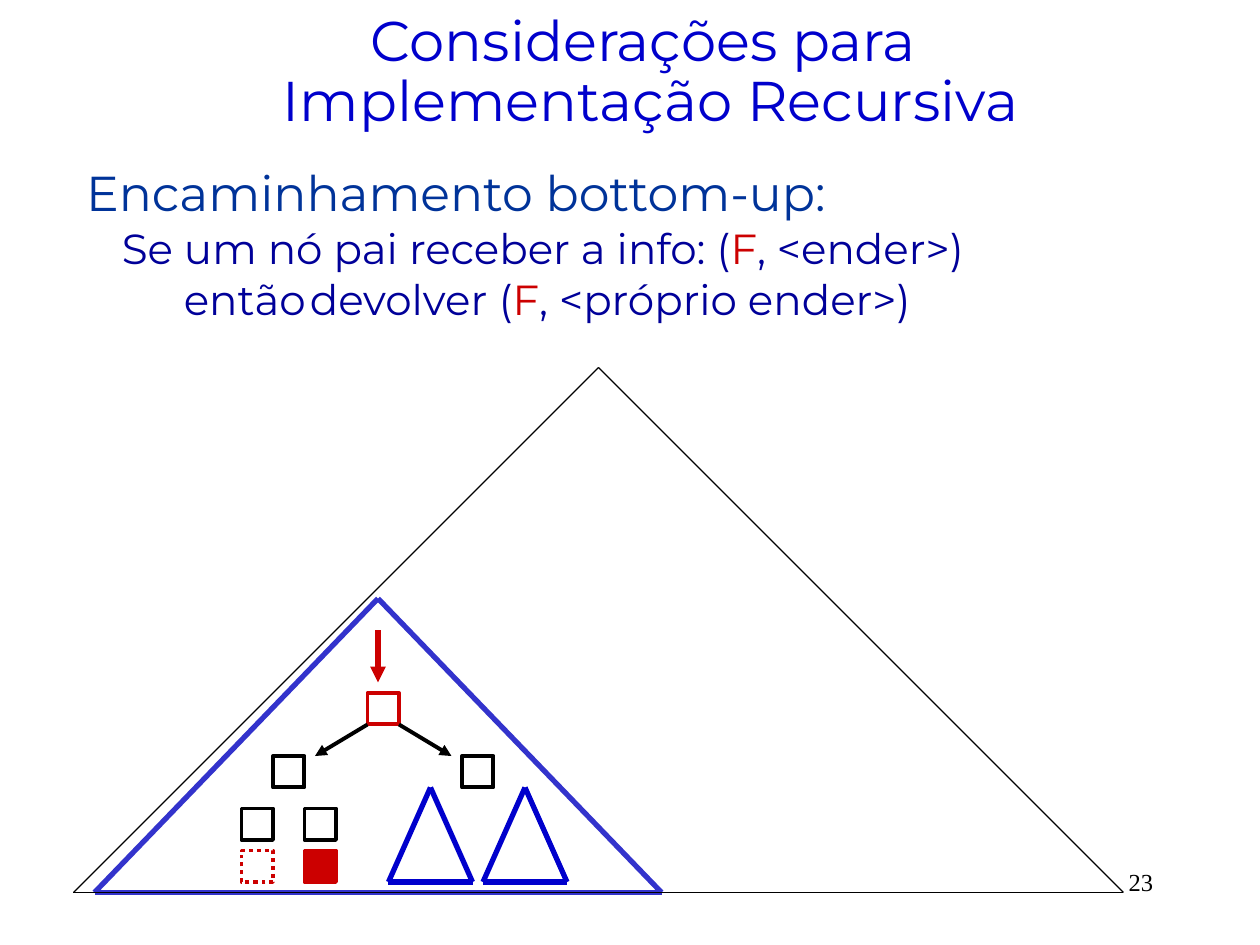
from lxml.etree import SubElement
from pptx import Presentation
from pptx.dml.color import RGBColor
from pptx.enum.dml import MSO_LINE
from pptx.enum.shapes import MSO_CONNECTOR, MSO_SHAPE
from pptx.enum.text import MSO_ANCHOR, MSO_AUTO_SIZE, PP_ALIGN
from pptx.oxml.ns import qn
from pptx.util import Pt

EMU_PER_PX = 7620
NODE = 30
BLACK, RED, BLUE, VIOLET, NAVY = "000000", "CC0000", "0000CC", "3333CC", "000099"


def px(length):
    return length * EMU_PER_PX


def color(text):
    return RGBColor.from_string(text)


def place(shape, box):
    shape.left, shape.top, shape.width, shape.height = map(px, box)


def style(font, size, tint, name="Montserrat"):
    font.size, font.name = Pt(size), name
    font.color.rgb = color(tint)


def add_line(shapes, start, end, tint, width, arrow=False):
    line = shapes.add_connector(MSO_CONNECTOR.STRAIGHT, *map(px, start + end))
    line.line.color.rgb = color(tint)
    line.line.width = Pt(width)
    if arrow:
        SubElement(line.line._get_or_add_ln(), qn("a:tailEnd"), type="triangle")
    SubElement(line._element.spPr, qn("a:effectLst"))


def add_triangle(shapes, box, tint, width):
    left, top, wide, high = box
    apex = (left + wide // 2, top)
    corners = (left, top + high), (left + wide, top + high)
    for start, end in ((apex, corners[0]), (apex, corners[1]), corners):
        add_line(shapes, start, end, tint, width)


def add_node(shapes, left, top, tint, filled=False, dotted=False):
    node = shapes.add_shape(MSO_SHAPE.RECTANGLE, *map(px, (left, top, NODE, NODE)))
    node.shadow.inherit = False
    node.line.color.rgb = color(tint)
    node.line.width = Pt(2.25)
    if filled:
        node.fill.solid()
        node.fill.fore_color.rgb = color(tint)
    else:
        node.fill.background()
    if dotted:
        node.line.dash_style = MSO_LINE.ROUND_DOT


def add_title(page, box):
    title = page.shapes.title
    place(title, box)
    frame = title.text_frame
    frame.auto_size = MSO_AUTO_SIZE.NONE
    frame.vertical_anchor = MSO_ANCHOR.MIDDLE
    para = frame.paragraphs[0]
    para.text = "Considerações para \vImplementação Recursiva"
    para.alignment = PP_ALIGN.CENTER
    para.line_spacing = 0.9
    for span in para.runs:
        style(span.font, 32, BLUE)


def add_rule(page, box):
    body = page.placeholders[1]
    place(body, box)
    frame = body.text_frame
    frame.auto_size = MSO_AUTO_SIZE.NONE
    frame.vertical_anchor = MSO_ANCHOR.TOP
    rows = [
        (0, 28, 0, [], [("Encaminhamento bottom-up:", "003399")]),
        (34, 24, 6, [], [("Se um nó pai receber a info: (", NAVY), ("F", RED),
                         (", <ender>)", NAVY)]),
        (93, 24, 6, [230, 430], [("então\tdevolver\t(", NAVY), ("F", RED),
                                 (", <próprio ender>)", NAVY)]),
    ]
    for number, (margin, size, before, stops, parts) in enumerate(rows):
        para = frame.add_paragraph() if number else frame.paragraphs[0]
        para.line_spacing = 0.8
        para.space_before = Pt(before)
        props = para._p.get_or_add_pPr()
        props.set("marL", str(px(margin)))
        props.set("indent", "0")
        SubElement(props, qn("a:buNone"))
        if stops:
            tabs = SubElement(props, qn("a:tabLst"))
            for stop in stops:
                SubElement(tabs, qn("a:tab"), pos=str(px(stop)), algn="l")
        for text, tint in parts:
            span = para.add_run()
            span.text = text
            style(span.font, size, tint)


def add_page_number(page, box):
    frame = page.shapes.add_textbox(*map(px, box)).text_frame
    frame.word_wrap = True
    para = frame.paragraphs[0]
    para.text = "23"
    para.alignment = PP_ALIGN.RIGHT
    style(para.runs[0].font, 14, BLACK, "Times New Roman")


def add_subtree(page, box):
    left, top = box[:2]
    shapes = page.shapes

    def at(x, y):
        return left + x, top + y

    for x, y, tint in ((350, 150, BLACK), (260, 90, RED), (140, 200, BLACK),
                       (200, 200, BLACK), (170, 150, BLACK)):
        add_node(shapes, *at(x, y), tint)
    for start, end, tint, width in (
        ((260, 120), (210, 150), BLACK, 2.25),
        ((290, 120), (340, 150), BLACK, 2.25),
        ((270, 30), (270, 80), RED, 3),
    ):
        add_line(shapes, at(*start), at(*end), tint, width, arrow=True)
    for x in (370, 280):
        group = shapes.add_group_shape()
        add_triangle(group.shapes, at(x, 180) + (80, 90), BLUE, 3)
    leaves = shapes.add_group_shape().shapes
    add_node(leaves, *at(200, 240), RED, filled=True)
    add_node(leaves, *at(140, 240), RED, dotted=True)
    add_triangle(shapes, box, VIOLET, 3)


def main():
    deck = Presentation()
    deck.slide_width, deck.slide_height = px(1200), px(900)
    page = deck.slides.add_slide(deck.slide_layouts[1])
    add_page_number(page, (860, 820, 250, 60))
    add_rule(page, (70, 160, 1070, 160))
    add_title(page, (170, 0, 900, 140))
    add_subtree(page, (90, 570, 540, 280))
    add_triangle(page.shapes, (70, 350, 1000, 500), BLACK, 0.75)
    deck.save("out.pptx")


if __name__ == "__main__":
    main()
